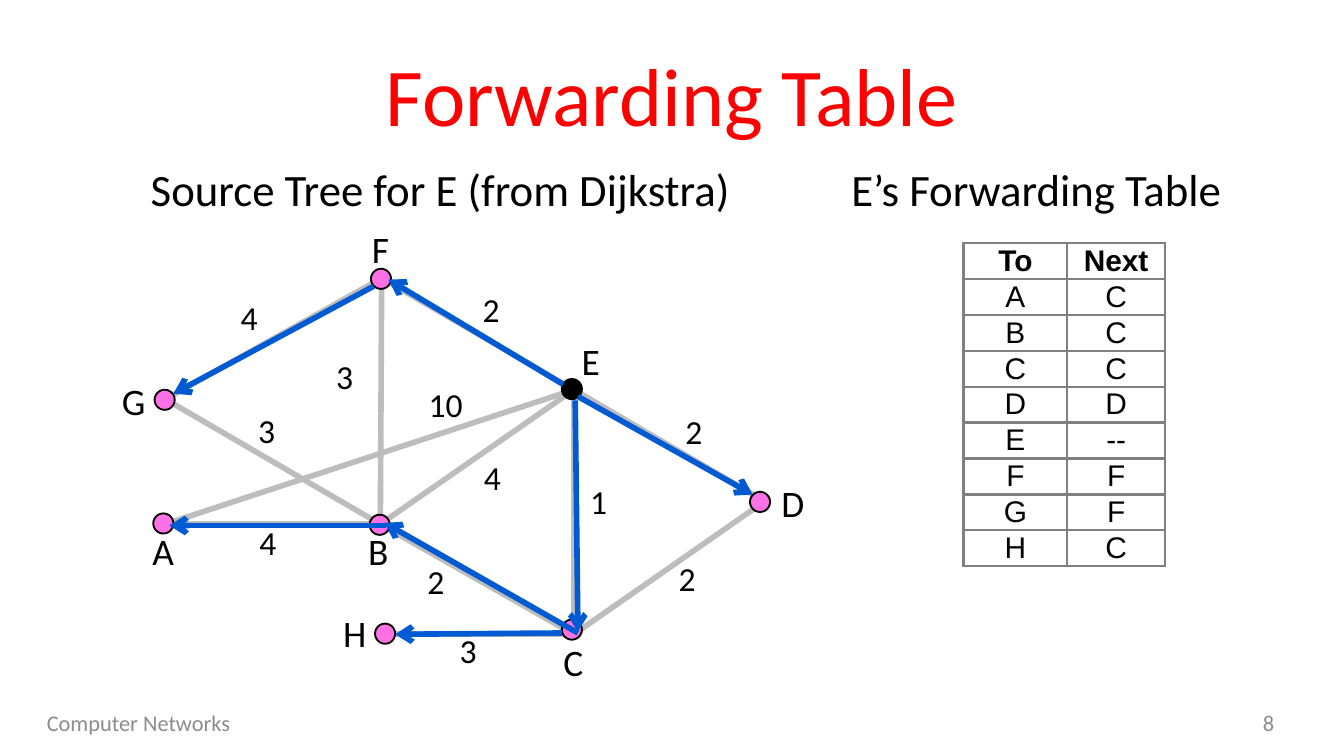
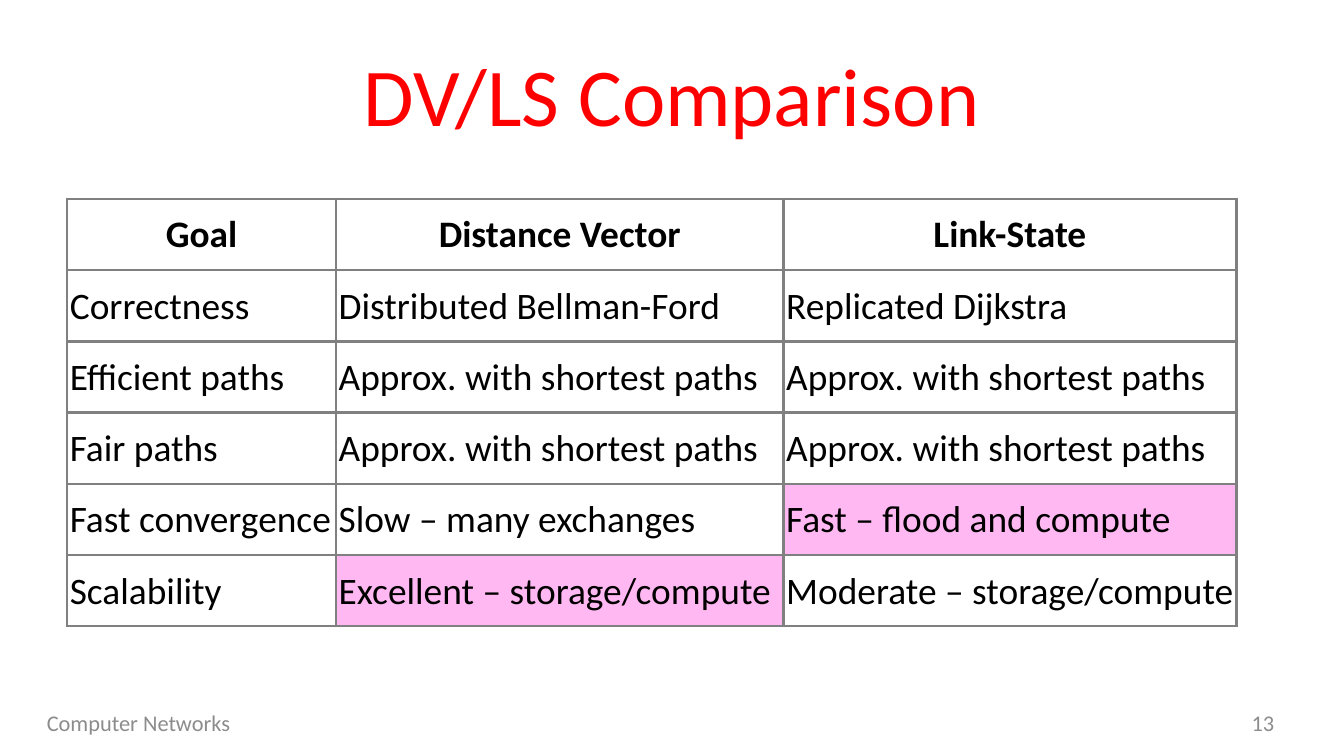
import pptx
import pptx.dml.color
import pptx.enum.shapes
import pptx.enum.text
import pptx.oxml
import pptx.oxml.ns
import pptx.util
from lxml import etree

Inches = pptx.util.Inches
Pt = pptx.util.Pt
ALIGN = pptx.enum.text.PP_ALIGN
MIDDLE = pptx.enum.text.MSO_ANCHOR.MIDDLE
TOP = pptx.enum.text.MSO_ANCHOR.TOP
FIT = pptx.enum.text.MSO_AUTO_SIZE.SHAPE_TO_FIT_TEXT
FIXED = pptx.enum.text.MSO_AUTO_SIZE.NONE
qn = pptx.oxml.ns.qn

RED, BLACK, WHITE, GREY = "FF0000", "000000", "FFFFFF", "8C8C8C"
BORDER, LINK, ROUTE = "808080", "BDBDBD", "005BD3"
PINK, PALE_PINK = "FF71E5", "FFB8F2"
DOT = 0.15
LABEL_HEIGHT, COST_HEIGHT = 0.46, 0.32

# All graph positions are relative to the top left corner of the graph.
# name: (hub where links meet, corner of the dot, (left, top, width) of label)
NODES = {
    "A": ((0.48, 2.30), (0.39, 2.22), (0.23, 2.27, 0.47)),
    "B": ((2.08, 2.30), (2.00, 2.23), (1.84, 2.27, 0.45)),
    "C": ((3.52, 3.12), (3.43, 3.01), (3.29, 3.09, 0.45)),
    "D": ((4.94, 2.13), (4.83, 2.06), (4.91, 1.91, 0.48)),
    "E": ((3.52, 1.30), (3.43, 1.22), (3.43, 0.85, 0.43)),
    "F": ((2.09, 0.47), (2.01, 0.40), (1.87, 0.02, 0.42)),
    "G": ((0.48, 1.37), (0.40, 1.30), (0.00, 1.15, 0.49)),
    "H": ((2.08, 3.12), (2.04, 3.04), (1.65, 2.88, 0.48)),
}
# (two nodes, cost, corner of the cost label)
LINKS = [
    ("AB", "4", (1.13, 2.28)), ("BC", "2", (2.38, 2.57)),
    ("CE", "1", (3.59, 1.98)), ("BE", "4", (2.80, 1.80)),
    ("AE", "10", (2.39, 1.26)), ("BF", "3", (1.70, 1.05)),
    ("BG", "3", (1.12, 1.45)), ("GF", "4", (0.99, 0.61)),
    ("FE", "2", (2.79, 0.55)), ("ED", "2", (4.30, 1.46)),
    ("CD", "2", (4.25, 2.55)), ("CH", "3", (2.62, 3.09)),
]
# (arrow tip, start) of each branch of the tree
ROUTES = [
    ((0.51, 2.31), (2.12, 2.31)), ((2.11, 2.29), (3.55, 3.11)),
    ((3.55, 3.10), (3.53, 1.38)), ((0.54, 1.33), (2.03, 0.53)),
    ((2.19, 3.12), (3.43, 3.11)), ((2.14, 0.48), (3.44, 1.26)),
    ((4.85, 2.08), (3.55, 1.35)),
]
NEXT_HOPS = [("To", "Next"), *zip("ABCDEFGH", ("C", "C", "C", "D", "--", "F", "F", "C"))]
COMPARISON = [
    ("Goal", "Distance Vector", "Link-State"),
    ("Correctness", "Distributed Bellman-Ford", "Replicated Dijkstra"),
    ("Efficient paths", "Approx. with shortest paths", "Approx. with shortest paths"),
    ("Fair paths", "Approx. with shortest paths", "Approx. with shortest paths"),
    ("Fast convergence", "Slow – many exchanges", "Fast – flood and compute"),
    ("Scalability", "Excellent – storage/compute", "Moderate – storage/compute"),
]
WINNERS = {(4, 2), (5, 1)}


def rgb(color):
    return pptx.dml.color.RGBColor.from_string(color)


def write(tf, text, size=20, color=BLACK, font="Calibri", bold=False,
          align=ALIGN.LEFT, spacing=None):
    p = tf.paragraphs[0]
    p.alignment = align
    if spacing:
        p.line_spacing = spacing
    r = p.add_run()
    r.text = text
    r.font.size, r.font.name, r.font.bold = Pt(size), font, bold
    r.font.color.rgb = rgb(color)


def add_text(shapes, box, text, anchor=TOP, wrap=True, fit=FIT, margins=None, **fmt):
    tf = shapes.add_textbox(*map(Inches, box)).text_frame
    tf.word_wrap, tf.auto_size, tf.vertical_anchor = wrap, fit, anchor
    if margins:
        set_margins(tf, margins)
    write(tf, text, **fmt)


def set_margins(target, margins):
    """Set left, top, right and bottom margins of a text frame or cell."""
    (target.margin_left, target.margin_top,
     target.margin_right, target.margin_bottom) = map(Inches, margins)


def add_line(shapes, start, end, color, arrow=False):
    line = shapes.add_connector(pptx.enum.shapes.MSO_CONNECTOR.STRAIGHT,
                                *map(Inches, (*start, *end)))
    line.line.color.rgb = rgb(color)
    line.line.width = Pt(3)
    if arrow:
        etree.SubElement(line.line._get_or_add_ln(), qn("a:headEnd"), type="arrow")
    etree.SubElement(line._element.spPr, qn("a:effectLst"))


def add_dot(shapes, left, top, color):
    dot = shapes.add_shape(pptx.enum.shapes.MSO_SHAPE.OVAL,
                           *map(Inches, (left, top, DOT, DOT)))
    dot.shadow.inherit = False
    dot.fill.solid()
    dot.fill.fore_color.rgb = rgb(color)
    dot.line.color.rgb = rgb(BLACK)
    dot.line.width = Pt(1)


def set_borders(cell):
    tcPr = cell._tc.get_or_add_tcPr()
    for i, side in enumerate(("lnL", "lnR", "lnT", "lnB")):
        ln = etree.Element(qn("a:" + side), w=str(Pt(1.5)))
        fill = etree.SubElement(ln, qn("a:solidFill"))
        etree.SubElement(fill, qn("a:srgbClr"), val=BORDER)
        tcPr.insert(i, ln)


def add_grid(s, left, top, widths, row_height, rows, head_margins, body_margins,
             body_align=ALIGN.LEFT, marked=(), **fmt):
    """Add a bordered table with a bold centred first row."""
    box = (left, top, sum(widths), row_height * len(rows))
    table = s.shapes.add_table(len(rows), len(widths), *map(Inches, box)).table
    table.first_row = table.horz_banding = False
    for column, width in zip(table.columns, widths):
        column.width = Inches(width)
    for i, row in enumerate(rows):
        table.rows[i].height = Inches(row_height)
        head = i == 0
        for j, text in enumerate(row):
            cell = table.cell(i, j)
            cell.fill.solid()
            cell.fill.fore_color.rgb = rgb(PALE_PINK if (i, j) in marked else WHITE)
            cell.vertical_anchor = MIDDLE
            set_margins(cell, head_margins if head else body_margins)
            set_borders(cell)
            write(cell.text_frame, text, bold=head,
                  align=ALIGN.CENTER if head else body_align, **fmt)


def add_graph(s, left, top):
    shapes = s.shapes.add_group_shape().shapes

    def at(point):
        return left + point[0], top + point[1]

    for (a, b), _, _ in LINKS:
        add_line(shapes, at(NODES[a][0]), at(NODES[b][0]), LINK)
    for name, (_, corner, _) in NODES.items():
        add_dot(shapes, *at(corner), BLACK if name == "E" else PINK)
    for name, (_, _, (x, y, width)) in NODES.items():
        add_text(shapes, (*at((x, y)), width, LABEL_HEIGHT), name,
                 anchor=MIDDLE, wrap=False, align=ALIGN.CENTER)
    for _, cost, corner in LINKS:
        width = 0.29 if len(cost) == 1 else 0.46
        add_text(shapes, (*at(corner), width, COST_HEIGHT), cost, wrap=False,
                 margins=(0.05, 0, 0.05, 0), size=18)
    for tip, start in ROUTES:
        add_line(shapes, at(tip), at(start), ROUTE, arrow=True)


def add_slide(prs, title, number):
    """Add a slide with the shared title and footer."""
    s = prs.slides.add_slide(prs.slide_layouts[5])
    sp = s.shapes.title
    sp.left, sp.top, sp.width, sp.height = map(Inches, (0.25, 0.23, 9.5, 0.94))
    tf = sp.text_frame
    tf.word_wrap, tf.auto_size, tf.vertical_anchor = True, FIXED, MIDDLE
    write(tf, title, size=44, color=RED, align=ALIGN.CENTER)
    footer = dict(anchor=MIDDLE, fit=FIXED, size=12, color=GREY)
    add_text(s.shapes, (0.25, 5.23, 3.17, 0.3), "Computer Networks", **footer)
    add_text(s.shapes, (7.25, 5.23, 2.33, 0.3), str(number), align=ALIGN.RIGHT, **footer)
    return s


def forwarding_slide(prs):
    s = add_slide(prs, "Forwarding Table", 8)
    margins = (0, 0.01, 0, 0.01)
    add_grid(s, 7.17, 1.81, (0.77, 0.73), 0.24, NEXT_HOPS, margins, margins,
             body_align=ALIGN.CENTER, size=16, font="Arial")
    add_graph(s, 0.75, 1.6)
    for left, width, text in ((0.58, 5.39, "Source Tree for E (from Dijkstra)"),
                              (5.9, 3.62, "E’s Forwarding Table")):
        add_text(s.shapes, (left, 1.23, width, 0.43), text, size=24,
                 align=ALIGN.CENTER, spacing=0.8)


def comparison_slide(prs):
    s = add_slide(prs, "DV/LS Comparison", 13)
    add_grid(s, 0.5, 1.48, (2, 3.33, 3.37), 0.53, COMPARISON,
             (0, 0.01, 0, 0), (0.02, 0.01, 0, 0), marked=WINNERS)


def main():
    prs = pptx.Presentation()
    prs.slide_width = Inches(10)
    prs.slide_height = prs.slide_width * 9 // 16
    forwarding_slide(prs)
    comparison_slide(prs)
    prs.save("out.pptx")


if __name__ == "__main__":
    main()
